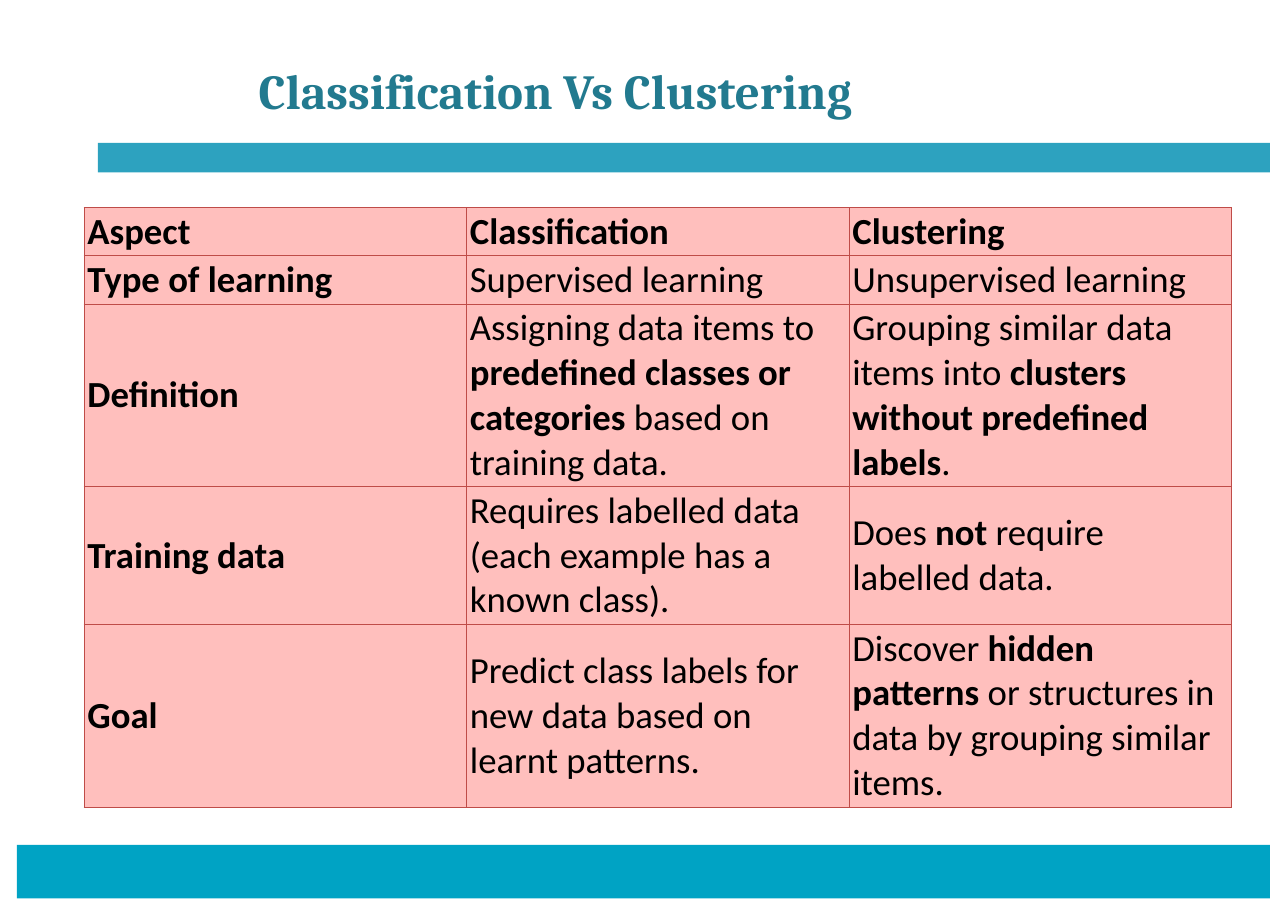
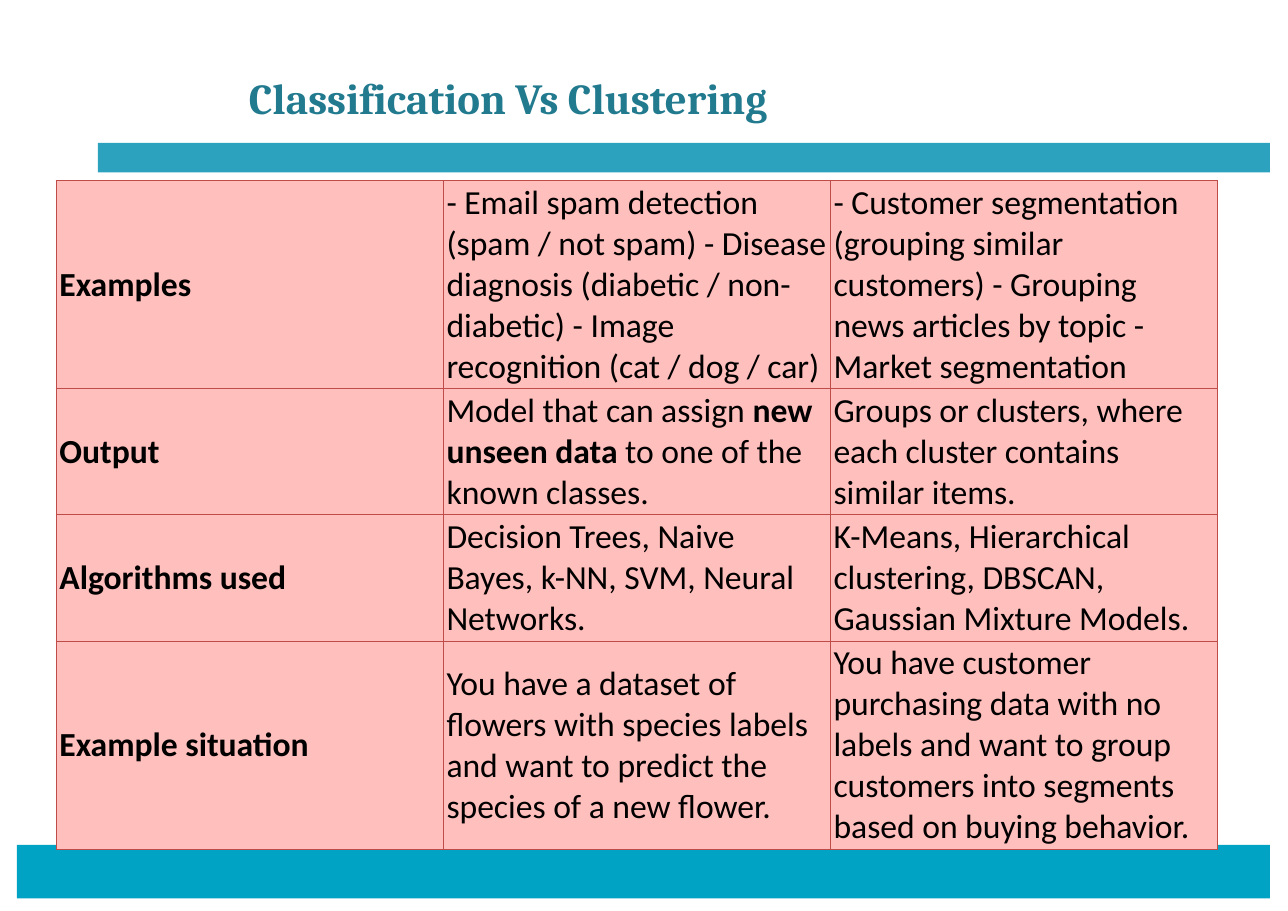
"""Build two slides that compare classification with clustering."""
from dataclasses import dataclass

from lxml import etree
from pptx import Presentation
from pptx.dml.color import RGBColor
from pptx.enum.shapes import MSO_SHAPE
from pptx.enum.text import MSO_ANCHOR, MSO_AUTO_SIZE, PP_ALIGN
from pptx.oxml.ns import qn
from pptx.util import Pt

RECTANGLE = MSO_SHAPE.RECTANGLE
TOP, MIDDLE = MSO_ANCHOR.TOP, MSO_ANCHOR.MIDDLE
FIXED_SIZE = MSO_AUTO_SIZE.NONE
LEFT = PP_ALIGN.LEFT
TITLE_ONLY = 5


@dataclass(frozen=True)
class Theme:
    title_font: str = "Cambria"
    body_font: str = "Calibri"
    title_color: str = "227A8F"
    body_color: str = "000000"
    upper_band: str = "2DA2BF"
    lower_band: str = "00A3C4"
    cell_fill: str = "FFBFBD"
    cell_border: str = "BF4C48"
    border_width: float = 0.75
    cell_side_margin: float = 2.16
    cell_end_margin: float = 1.08
    title_large: int = 32
    title_small: int = 28
    body_large: int = 24
    body_small: int = 22


def write_text(frame, text, *, font, size, color, bold=False):
    """Write one paragraph; text between double asterisks switches its weight."""
    para = frame.paragraphs[0]
    para.alignment = LEFT
    for index, part in enumerate(text.split("**")):
        if part:
            span = para.add_run()
            span.text = part
            span.font.name = font
            span.font.size = Pt(size)
            span.font.bold = bold != (index % 2 == 1)
            span.font.color.rgb = RGBColor.from_string(color)


class SlideBuilder:
    def __init__(self, deck, theme):
        self.deck = deck
        self.theme = theme
        self.page = None

    def start_page(self):
        self.page = self.deck.slides.add_slide(self.deck.slide_layouts[TITLE_ONLY])
        self.band(64, 93.4, 766, 19.2, self.theme.upper_band)
        self.band(11, 552, 819, 35, self.theme.lower_band)

    def band(self, left, top, width, height, color):
        box = self.page.shapes.add_shape(
            RECTANGLE, Pt(left), Pt(top), Pt(width), Pt(height))
        box.shadow.inherit = False
        box.fill.solid()
        box.fill.fore_color.rgb = RGBColor.from_string(color)
        box.line.fill.background()

    def title(self, text, left, top, height, size):
        box = self.page.shapes.title
        box.left, box.top = Pt(left), Pt(top)
        box.width, box.height = Pt(580), Pt(height)
        frame = box.text_frame
        frame.margin_left = frame.margin_right = 0
        frame.margin_top = frame.margin_bottom = 0
        frame.vertical_anchor = TOP
        frame.auto_size = FIXED_SIZE
        write_text(frame, text, font=self.theme.title_font, size=size,
                   color=self.theme.title_color, bold=True)

    def table(self, rows, left, top, column_width, heights, size):
        columns = len(rows[0])
        table = self.page.shapes.add_table(
            len(rows), columns, Pt(left), Pt(top),
            Pt(column_width * columns), Pt(sum(heights))).table
        table.first_row = table.horz_banding = False
        for column in table.columns:
            column.width = Pt(column_width)
        for row, height, texts in zip(table.rows, heights, rows):
            row.height = Pt(height)
            for index, (cell, text) in enumerate(zip(row.cells, texts)):
                self.style_cell(cell)
                write_text(cell.text_frame, text, font=self.theme.body_font, size=size,
                           color=self.theme.body_color, bold=index == 0)

    def style_cell(self, cell):
        theme = self.theme
        cell.margin_left = cell.margin_right = Pt(theme.cell_side_margin)
        cell.margin_top = cell.margin_bottom = Pt(theme.cell_end_margin)
        cell.vertical_anchor = MIDDLE
        properties = cell._tc.get_or_add_tcPr()
        for side in ("a:lnL", "a:lnR", "a:lnT", "a:lnB"):
            line = etree.SubElement(properties, qn(side), w=str(Pt(theme.border_width)))
            fill = etree.SubElement(line, qn("a:solidFill"))
            etree.SubElement(fill, qn("a:srgbClr"), val=theme.cell_border)
        cell.fill.solid()
        cell.fill.fore_color.rgb = RGBColor.from_string(theme.cell_fill)


TITLE = "Classification Vs Clustering"
BASICS = (
    ("Aspect", "**Classification**", "**Clustering**"),
    ("Type of learning", "Supervised learning", "Unsupervised learning"),
    ("Definition",
     "Assigning data items to **predefined classes or categories** based on training data.",
     "Grouping similar data items into **clusters without predefined labels**."),
    ("Training data",
     "Requires labelled data (each example has a known class).",
     "Does **not** require labelled data."),
    ("Goal",
     "Predict class labels for new data based on learnt patterns.",
     "Discover **hidden patterns** or structures in data by grouping similar items."),
)
PRACTICE = (
    ("Examples",
     "- Email spam detection (spam / not spam) - Disease diagnosis "
     "(diabetic / non-diabetic) - Image recognition (cat / dog / car)",
     "- Customer segmentation (grouping similar customers) - Grouping news "
     "articles by topic - Market segmentation"),
    ("Output",
     "Model that can assign **new unseen data** to one of the known classes.",
     "Groups or clusters, where each cluster contains similar items."),
    ("Algorithms used",
     "Decision Trees, Naive Bayes, k-NN, SVM, Neural Networks.",
     "K-Means, Hierarchical clustering, DBSCAN, Gaussian Mixture Models."),
    ("Example situation",
     "You have a dataset of flowers with species labels and want to predict "
     "the species of a new flower.",
     "You have customer purchasing data with no labels and want to group "
     "customers into segments based on buying behavior."),
)


def main():
    deck = Presentation()
    deck.slide_width, deck.slide_height = Pt(841.89), Pt(595.28)
    theme = Theme()
    builder = SlideBuilder(deck, theme)

    builder.start_page()
    builder.title(TITLE, 169, 39.6, 39, theme.title_large)
    builder.table(BASICS, 55, 135.8, 250, (31, 31, 119, 90, 119), theme.body_large)

    builder.start_page()
    builder.title(TITLE, 162.7, 46.8, 34, theme.title_small)
    builder.table(PRACTICE, 36.7, 118, 253, (135, 82, 82, 135), theme.body_small)

    deck.save("out.pptx")


if __name__ == "__main__":
    main()
